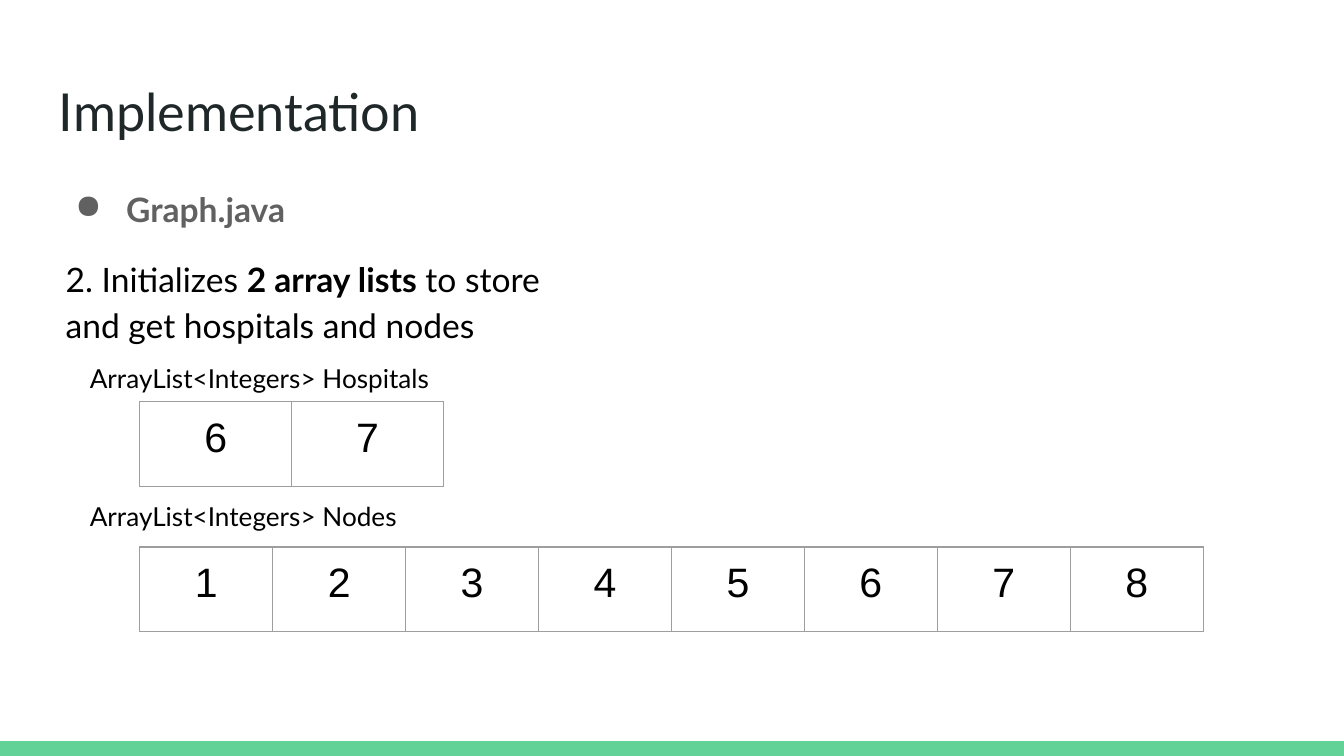
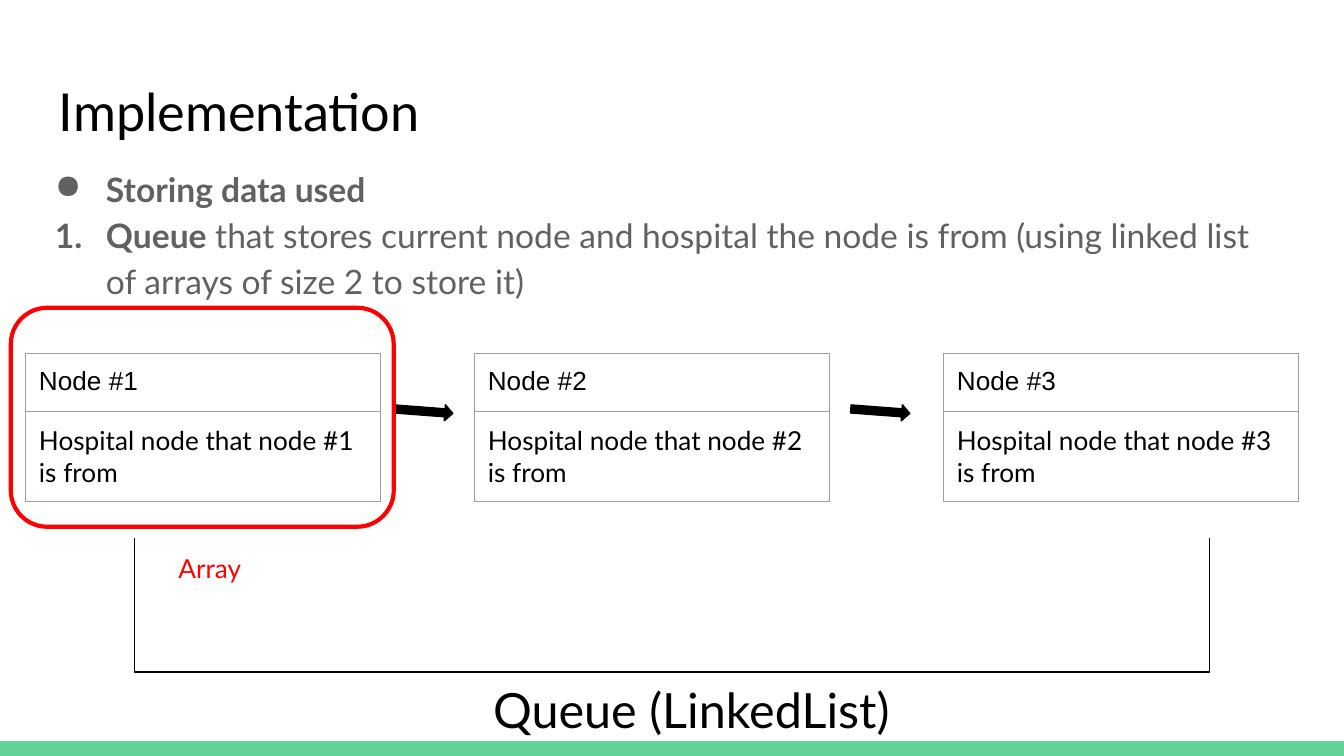
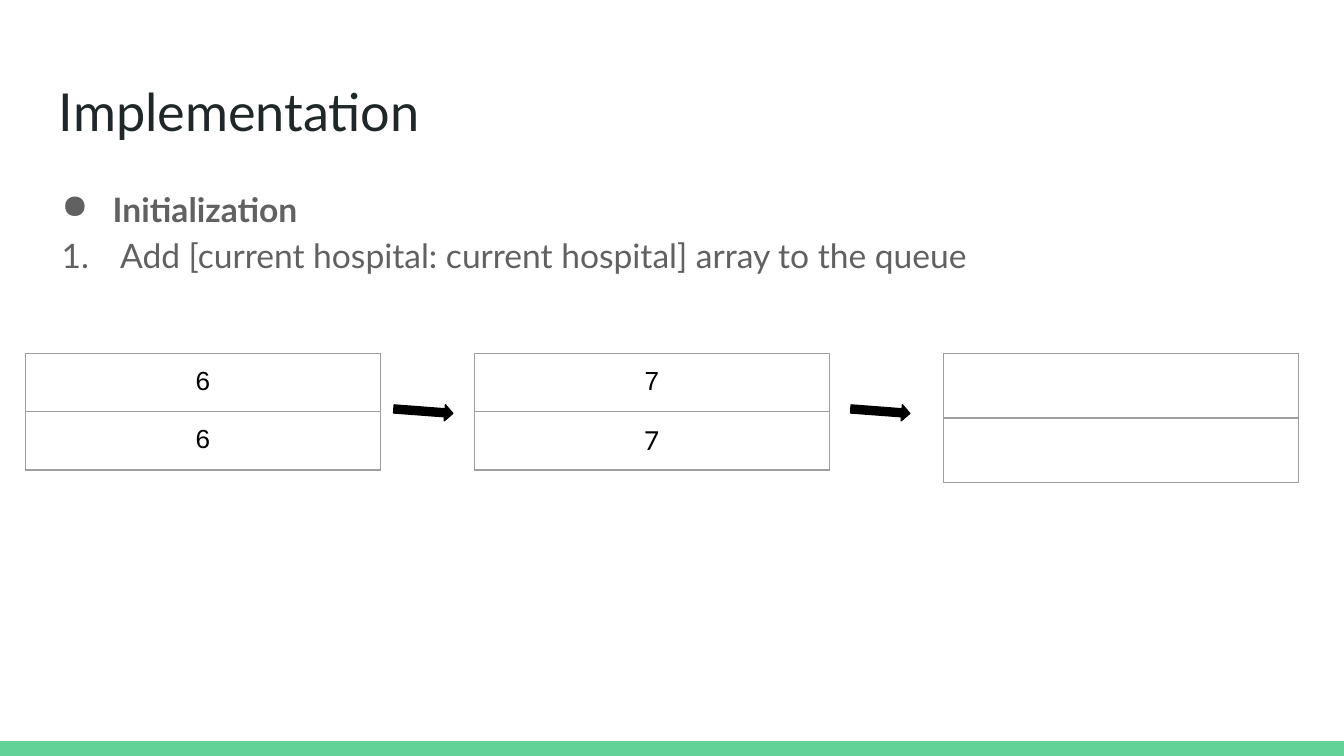
from lxml.etree import SubElement
from pptx import Presentation
from pptx.dml.color import RGBColor
from pptx.enum.shapes import MSO_SHAPE as Preset
from pptx.enum.text import PP_ALIGN as Align
from pptx.oxml.ns import qn
from pptx.util import Inches, Pt

GREEN = RGBColor(0x63, 0xD2, 0x97)
INK = RGBColor(0x20, 0x27, 0x29)
GREY = RGBColor(0x61, 0x61, 0x61)
BORDER = RGBColor(0x9E, 0x9E, 0x9E)
BLACK = RGBColor(0, 0, 0)
RED = RGBColor(0xFF, 0, 0)

deck = Presentation()
deck.slide_width, deck.slide_height = Inches(10), Inches(5.625)
UNIT = deck.slide_width / 100
ROWS = 56.25


def write(frame, owner, lines, color, styles, spacing=None, align=Align.LEFT, bullets=()):
    frame.word_wrap = True
    for side in ("left", "top", "right", "bottom"):
        setattr(owner, f"margin_{side}", Inches(0.1))
    for index, runs in enumerate(lines):
        paragraph = frame.add_paragraph() if index else frame.paragraphs[0]
        for name, value in {"alignment": align, "line_spacing": spacing}.items():
            setattr(paragraph, name, value)
        for text, bold in runs:
            run = paragraph.add_run()
            run.text = text
            run.font.color.rgb = color
            for name, value in {**styles, "bold": bold}.items():
                setattr(run.font, name, value)
        if bullets:
            props = paragraph._p.get_or_add_pPr()
            props.set("marL", str(Inches(0.5)))
            props.set("indent", str(Inches(-0.38)))
            tint = SubElement(props, qn("a:buClr"))
            SubElement(tint, qn("a:srgbClr"), val=str(color))
            tag, key, mark = bullets[index]
            SubElement(props, qn(tag), {key: mark})


def add_grid(slide, left, top, column, row, values, size, align):
    place = [int(n * UNIT) for n in (left, top, column * len(values[0]), row * len(values))]
    grid = slide.shapes.add_table(len(values), len(values[0]), *place).table
    for flag in ("first_row", "horz_banding"):
        setattr(grid, flag, False)
    for r, line in enumerate(values):
        for c, (text, font) in enumerate(line):
            cell = grid.cell(r, c)
            props = cell._tc.get_or_add_tcPr()
            for edge in ("a:lnL", "a:lnR", "a:lnT", "a:lnB"):
                stroke = SubElement(props, qn(edge), w=str(Pt(0.75)))
                paint = SubElement(stroke, qn("a:solidFill"))
                SubElement(paint, qn("a:srgbClr"), val=str(BORDER))
            cell.fill.background()
            if text:
                write(cell.text_frame, cell, [[(text, False)]], BLACK,
                      {"name": font, "size": Pt(size)}, align=align)


DOT = ("a:buChar", "char", "●")
NUMBER = ("a:buAutoNum", "type", "arabicPeriod")

pages = [
    (INK, 3.4, 12.6, 11.5, [[("Graph.java", True)]]),
    (BLACK, 1.9, 11.1, 12.2, [
        [("Storing data used", True)],
        [("Queue", True), (" that stores current node and hospital the node is from "
                           "(using linked list of arrays of size 2 to store it)", False)]]),
    (INK, 2.4, 12.6, 8.6, [
        [("Initialization", True)],
        [(" Add [current hospital: current hospital] array to the queue", False)]]),
]
slides = []
for title_color, left, top, height, points in pages:
    slide = deck.slides.add_slide(deck.slide_layouts[6])
    slides.append(slide)
    band = slide.shapes.add_shape(
        Preset.RECTANGLE, 0, int((ROWS - 1.1) * UNIT), deck.slide_width, int(1.1 * UNIT))
    band.shadow.inherit = False
    band.fill.solid()
    band.fill.fore_color.rgb = GREEN
    band.line.fill.background()
    for place, lines, color, size, spacing, bullets in (
        ((3.4, 4.9, 93.2, 6.3), [[("Implementation", False)]], title_color, 28, None, ()),
        ((left, top, 93.2, height), points, GREY, 18, 1.15, (DOT, NUMBER)),
    ):
        frame = slide.shapes.add_textbox(*[int(n * UNIT) for n in place]).text_frame
        write(frame, frame, lines, color, {"name": "Lato", "size": Pt(size)}, spacing,
              bullets=bullets)
lists, queue, start = slides

for slide, place, runs, color, size, spacing in (
    (lists, (3.9, 17.8, 38.2, 9), [("2. Initializes ", False), ("2 array lists", True),
     (" to store and get hospitals and nodes", False)], BLACK, 18, 1.15),
    (lists, (5.7, 26, 29, 4.3), [("ArrayList<Integers> Hospitals", False)], BLACK, 14, None),
    (lists, (5.7, 36.2, 29, 4.3), [("ArrayList<Integers> Nodes", False)], BLACK, 14, None),
    (queue, (35.7, 49.6, 34.5, 5.3), [("Queue (LinkedList)", False)], BLACK, 26, None),
    (queue, (12.3, 40.1, 7.4, 3.2), [("Array", False)], RED, 14, None),
):
    frame = slide.shapes.add_textbox(*[int(n * UNIT) for n in place]).text_frame
    write(frame, frame, [runs], color, {"name": "Lato", "size": Pt(size)}, spacing)

for top, column, numbers in ((29.9, 11.3, "67"), (40.7, 9.89, "12345678")):
    add_grid(lists, 10.4, top, column, 6.3, [[(n, "Arial") for n in numbers]], 22, Align.CENTER)

entries = [("6", "6", "Arial", 4.2), ("7", "7", "Lato", 4.2), ("", "", "Lato", 4.8)]
for index, (node, hospital, font, row) in enumerate(entries):
    left = (1.9, 35.3, 70.2)[index]
    add_grid(queue, left, 26.3, 26.4, 4.2,
             [[(f"Node #{index + 1}", "Arial")],
              [(f"Hospital node that node #{index + 1} is from", "Lato")]], 14, Align.LEFT)
    add_grid(start, left, 26.3, 26.4, row,
             [[(node, "Arial")], [(hospital, font)]], 14, Align.CENTER)

for slide in (queue, start):
    for left in (30.9, 64.9):
        arrow = slide.shapes.add_shape(
            Preset.UP_ARROW, *[int(n * UNIT) for n in (left, 28.4, 1.2, 4.4)])
        arrow.rotation = 94.3
        arrow.shadow.inherit = False
        arrow.fill.solid()
        arrow.fill.fore_color.rgb = BLACK
        arrow.line.color.rgb = BLACK
        arrow.line.width = Pt(0.75)

array_frame = queue.shapes.add_shape(
    Preset.ROUNDED_RECTANGLE, *[int(n * UNIT) for n in (0.8, 22.9, 28.5, 16.3)])

bends = [
    (8.97, 4.52, 8.97, 4.59, 8.85, 4.62), (8.51, 4.71, 7.99, 4.62, 7.57, 4.6),
    (6.85, 4.56, 6.12, 4.55, 5.39, 4.55), (5.11, 4.55, 4.96, 4.75, 4.69, 4.71),
    (4.61, 4.7, 4.66, 4.64, 4.58, 4.63), (4.42, 4.6, 4.25, 4.59, 4.08, 4.58),
    (3.08, 4.5, 1.49, 4.78, 1.03, 4.45),
]
STEPS = 12
x, y = 8.97, 4.46
brace_points = []
for x1, y1, x2, y2, x3, y3 in bends:
    for step in range(1, STEPS + 1):
        t = step / STEPS
        weights = ((1 - t) ** 3, 3 * t * (1 - t) ** 2, 3 * t ** 2 * (1 - t), t ** 3)
        brace_points.append(tuple(
            sum(w * p for w, p in zip(weights, axis))
            for axis in ((x, x1, x2, x3), (y, y1, y2, y3))))
    x, y = x3, y3
outline = queue.shapes.build_freeform(8.97, 4.46, scale=Inches(1))
outline.add_line_segments(brace_points, close=False)
brace = outline.convert_to_shape()

for mark, color, width in ((array_frame, RED, 2.25), (brace, BLACK, 0.75)):
    mark.shadow.inherit = False
    mark.fill.background()
    mark.line.color.rgb = color
    mark.line.width = Pt(width)

deck.save("out.pptx")
